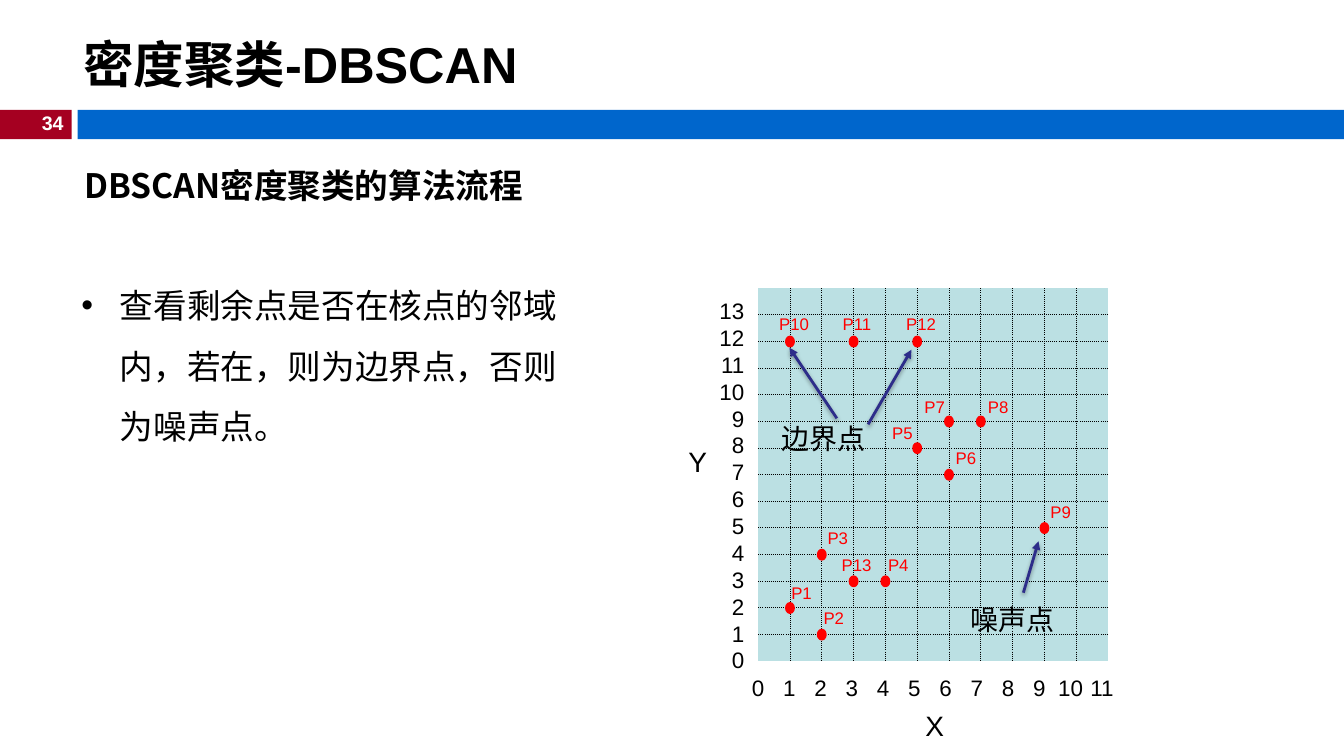
from dataclasses import dataclass

from lxml.etree import SubElement
from pptx import Presentation
from pptx.dml.color import RGBColor
from pptx.enum.shapes import MSO_CONNECTOR, MSO_SHAPE
from pptx.enum.text import MSO_ANCHOR, PP_ALIGN
from pptx.oxml.ns import qn
from pptx.util import Pt

EMU_PER_PX = 9144  # 100 px to the inch

GRID_LEFT, GRID_TOP, GRID_WIDTH, GRID_HEIGHT = 752, 286, 347, 370
COLUMNS, ROWS = 11, 14
X_LABEL_STEP = 31

# name, x, y in grid units, then left and top of the label
POINTS = [
    ("P1", 1, 2, 775, 573),
    ("P2", 2, 1, 807, 598),
    ("P3", 2, 4, 811, 519),
    ("P4", 4, 3, 871, 545),
    ("P5", 5, 8, 875, 414),
    ("P6", 6, 7, 938, 439),
    ("P7", 6, 9, 907, 389),
    ("P8", 7, 9, 970, 389),
    ("P9", 9, 5, 1032, 493),
    ("P10", 1, 12, 763, 306),
    ("P11", 3, 12, 826, 306),
    ("P12", 5, 12, 889, 306),
    ("P13", 3, 3, 825, 545),
]
ARROWS = [
    (861, 421, 904, 347),
    (830, 415, 783, 345),
    (1015, 588, 1030, 537),
]


@dataclass(frozen=True)
class Theme:
    latin: str = "Arial"
    chinese: str = "Noto Sans CJK SC"
    black: str = "000000"
    white: str = "FFFFFF"
    red: str = "FF0000"
    number_bar: str = "A50021"
    title_bar: str = "0066CC"
    grid: str = "BBE0E3"
    arrow: str = "2D2D8A"
    title: int = 36
    body: int = 24
    caption: int = 20
    axis: int = 16
    number: int = 14
    point: int = 12


THEME = Theme()


def px(length):
    return round(length * EMU_PER_PX)


def rgb(color):
    return RGBColor.from_string(color)


def add_text(slide, bounds, text, size, color=THEME.black, bold=False,
             latin=THEME.latin, align=PP_ALIGN.LEFT, anchor=MSO_ANCHOR.TOP):
    """Add a wrapping text box and return its paragraphs."""
    frame = slide.shapes.add_textbox(*map(px, bounds)).text_frame
    frame.word_wrap = True
    frame.vertical_anchor = anchor
    frame.text = text
    for para in frame.paragraphs:
        para.alignment = align
        for span in para.runs:
            span.font.size = Pt(size)
            span.font.bold = bold
            span.font.name = latin
            span.font.color.rgb = rgb(color)
            SubElement(span.font._element, qn("a:ea"), typeface=THEME.chinese)
    return frame.paragraphs


def add_filled(slide, kind, bounds, color, line_width=0):
    shape = slide.shapes.add_shape(kind, *map(px, bounds))
    shape.shadow.inherit = False
    shape.fill.solid()
    shape.fill.fore_color.rgb = rgb(color)
    if line_width:
        shape.line.color.rgb = rgb(color)
        shape.line.width = Pt(line_width)
    else:
        shape.line.fill.background()


def set_border(cell, side, visible):
    line = SubElement(cell._tc.get_or_add_tcPr(), qn(f"a:ln{side}"), w=str(Pt(0.75)))
    if visible:
        fill = SubElement(line, qn("a:solidFill"))
        SubElement(fill, qn("a:srgbClr"), val=THEME.black)
        SubElement(line, qn("a:prstDash"), val="sysDot")
    else:
        SubElement(line, qn("a:noFill"))


def add_grid(slide):
    """Add the dotted plot area, with inner lines only."""
    bounds = map(px, (GRID_LEFT, GRID_TOP, GRID_WIDTH, GRID_HEIGHT))
    table = slide.shapes.add_table(ROWS, COLUMNS, *bounds).table
    table.first_row = table.horz_banding = False
    for row in range(ROWS):
        for column in range(COLUMNS):
            cell = table.cell(row, column)
            set_border(cell, "L", column > 0)
            set_border(cell, "R", column < COLUMNS - 1)
            set_border(cell, "T", row > 0)
            set_border(cell, "B", row < ROWS - 1)
            cell.fill.solid()
            cell.fill.fore_color.rgb = rgb(THEME.grid)
            cell.margin_top = cell.margin_bottom = 0
            end = cell.text_frame.paragraphs[0]._p.get_or_add_endParaRPr()
            end.set("sz", "800")


def add_axes(slide):
    y_labels = "\n".join(str(value) for value in range(ROWS - 1, -1, -1))
    for para in add_text(slide, (677, 290, 71, 384), y_labels, THEME.axis,
                         align=PP_ALIGN.RIGHT):
        para.line_spacing = Pt(19.2)

    x_labels = "\t".join(str(value) for value in range(COLUMNS + 1))
    para = add_text(slide, (736, 664, 391, 37), x_labels, THEME.axis)[0]
    stops = SubElement(para._p.get_or_add_pPr(), qn("a:tabLst"))
    for value in range(1, COLUMNS + 1):
        SubElement(stops, qn("a:tab"), pos=str(px(6 + value * X_LABEL_STEP)), algn="ctr")

    add_text(slide, (908, 698, 40, 44), "X", THEME.caption)
    add_text(slide, (673, 436, 40, 44), "Y", THEME.caption)


def add_point(slide, name, x, y, label_left, label_top):
    width, height = 7, 9
    left = GRID_LEFT + x * GRID_WIDTH / COLUMNS - width / 2
    top = GRID_TOP + GRID_HEIGHT * (1 - y / ROWS) - height / 2
    add_filled(slide, MSO_SHAPE.OVAL, (left, top, width, height), THEME.red, 2)
    add_text(slide, (label_left, label_top, 57, 30), name, THEME.point, THEME.red)


def add_arrow(slide, ends):
    arrow = slide.shapes.add_connector(MSO_CONNECTOR.STRAIGHT, *map(px, ends))
    arrow.line.color.rgb = rgb(THEME.arrow)
    arrow.line.width = Pt(2)
    SubElement(arrow.line._get_or_add_ln(), qn("a:tailEnd"), type="triangle")
    effects = SubElement(arrow._element.spPr, qn("a:effectLst"))
    shadow = SubElement(effects, qn("a:outerShdw"), blurRad="40000", dist="20000",
                        dir="5400000", rotWithShape="0")
    color = SubElement(shadow, qn("a:srgbClr"), val=THEME.black)
    SubElement(color, qn("a:alpha"), val="38000")


def add_header(slide):
    add_filled(slide, MSO_SHAPE.RECTANGLE, (0, 109, 71, 29), THEME.number_bar)
    add_filled(slide, MSO_SHAPE.RECTANGLE, (77, 109, 1256, 29), THEME.title_bar)
    add_text(slide, (13, 105, 60, 34), "34", THEME.number, THEME.white, bold=True,
             align=PP_ALIGN.RIGHT)
    add_text(slide, (73, 26, 1260, 74), "密度聚类-DBSCAN", THEME.title, bold=True,
             anchor=MSO_ANCHOR.MIDDLE)


def add_body(slide):
    heading = add_text(slide, (45, 139, 566, 64), "DBSCAN密度聚类的算法流程",
                       THEME.body, bold=True, latin=THEME.chinese)[0]
    heading.line_spacing = 1.5
    heading._p.get_or_add_pPr().set("indent", str(px(29)))

    step = add_text(slide, (71, 258, 502, 185),
                    "查看剩余点是否在核点的邻域内，若在，则为边界点，否则为噪声点。",
                    THEME.body)[0]
    step.line_spacing = 1.5
    properties = step._p.get_or_add_pPr()
    properties.set("marL", str(px(38)))
    properties.set("indent", str(px(-38)))
    SubElement(properties, qn("a:buFont"), typeface=THEME.latin)
    SubElement(properties, qn("a:buChar"), char="•")


def main():
    deck = Presentation()
    deck.slide_width, deck.slide_height = px(1333), px(750)
    slide = deck.slides.add_slide(deck.slide_layouts[6])
    add_header(slide)
    add_grid(slide)
    add_body(slide)
    add_axes(slide)
    for point in POINTS:
        add_point(slide, *point)
    add_text(slide, (765, 413, 128, 44), "边界点", THEME.caption)
    add_text(slide, (953, 593, 152, 44), "噪声点", THEME.caption)
    for ends in ARROWS:
        add_arrow(slide, ends)
    deck.save("out.pptx")


if __name__ == "__main__":
    main()
